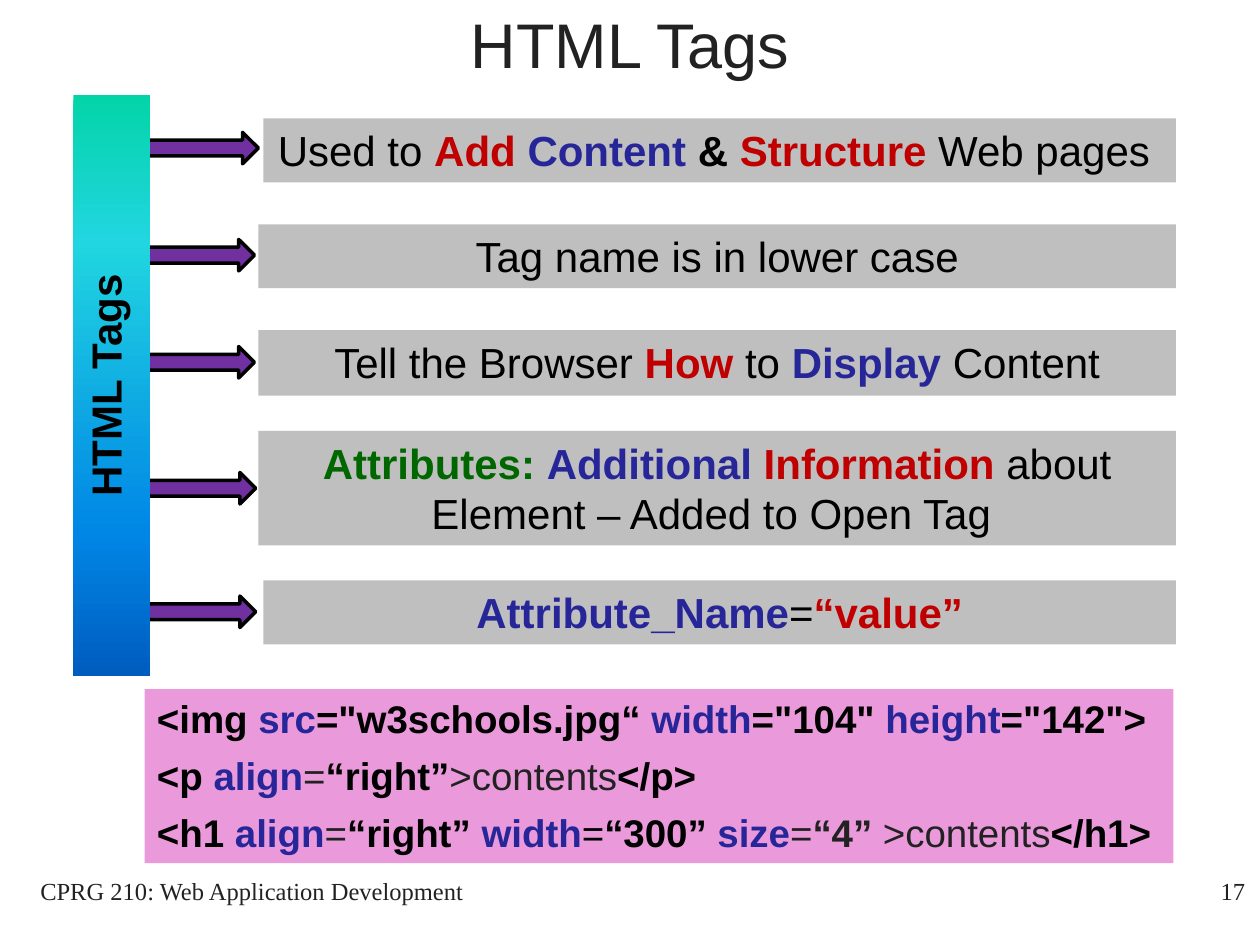
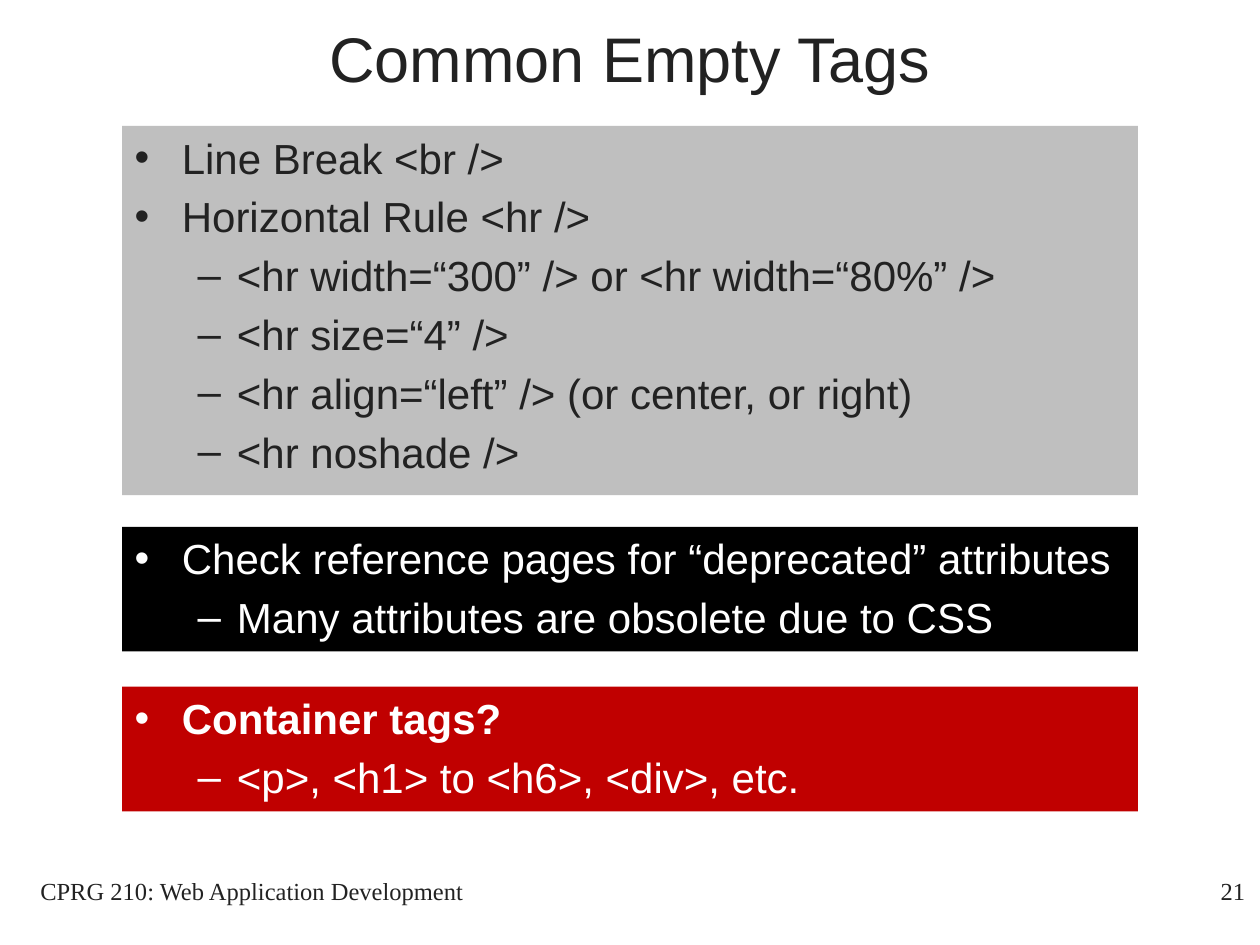
import pptx
import pptx.dml.color
import pptx.enum.shapes
import pptx.enum.text
import pptx.oxml.ns
import pptx.util
from lxml import etree

Pt = pptx.util.Pt
hue = pptx.dml.color.RGBColor.from_string
qn = pptx.oxml.ns.qn
Kind = pptx.enum.shapes.MSO_SHAPE
Align = pptx.enum.text.PP_ALIGN
Anchor = pptx.enum.text.MSO_ANCHOR

INK, BLACK, WHITE = "222222", "000000", "FFFFFF"
RED, BLUE, GREEN = "C00000", "262699", "006600"
GREY, PINK, PURPLE = "BFBFBF", "EA9ADB", "7030A0"

TITLE = {"name": "Arial", "size": Pt(36), "bold": False}
BODY = {"name": "Arial", "size": Pt(24)}
CODE = {"name": "Arial", "size": Pt(22)}
FOOT = {"name": "Times New Roman", "size": Pt(14)}


def block(slide, kind, place, fill):
    shape = slide.shapes.add_shape(kind, *[Pt(v) for v in place])
    shape.shadow.inherit = False
    shape.fill.solid()
    shape.fill.fore_color.rgb = hue(fill)
    shape.line.fill.background()
    return shape


def write(shape, rows, look, align, anchor=Anchor.TOP, after=0, before=0, marks=None):
    frame = shape.text_frame
    frame.word_wrap = True
    frame.auto_size = pptx.enum.text.MSO_AUTO_SIZE.NONE
    frame.vertical_anchor = anchor
    for i, runs in enumerate(rows):
        para = frame.paragraphs[0] if i == 0 else frame.add_paragraph()
        para.alignment = align
        para.space_before = Pt(before if i else 0)
        para.space_after = Pt(after)
        if marks:
            para.level = marks[i]
            sign, left, hang = [("•", 27, 27), ("–", 58.5, 22.5)][marks[i]]
            props = para._p.get_or_add_pPr()
            props.set("marL", str(Pt(left)))
            props.set("indent", str(-Pt(hang)))
            etree.SubElement(props, qn("a:buFont"), typeface="Arial")
            etree.SubElement(props, qn("a:buChar"), char=sign)
        for text, color, bold in runs:
            run = para.add_run()
            run.text = text
            for key, value in {**look, "bold": bold}.items():
                setattr(run.font, key, value)
            run.font.color.rgb = hue(color)


deck = pptx.Presentation()
deck.slide_width, deck.slide_height = Pt(720), Pt(540)

pages = []
for name, number, top in [("HTML Tags", "17", -20.16), ("Common Empty Tags", "21", -12.24)]:
    page = deck.slides.add_slide(deck.slide_layouts[5])
    title = page.shapes.title
    spots = {"left": 0, "top": top, "width": 720, "height": 90}
    for key, value in spots.items():
        setattr(title, key, Pt(value))
    write(title, [[(name, INK, False)]], TITLE, Align.CENTER, Anchor.MIDDLE)
    for text, left, width, align in [
        ("CPRG 210: Web Application Development", 0, 288, Align.CENTER),
        (number, 568.8, 149.8, Align.RIGHT),
    ]:
        note = page.shapes.add_textbox(Pt(left), Pt(496.8), Pt(width), Pt(36))
        write(note, [[(text, INK, False)]], FOOT, align)
    pages.append(page)
tags, empty = pages

facts = [
    (81.4, 75.6, 150.5, 67.7, 36.5, [
        ("Used to ", BLACK, False), ("Add ", RED, True), ("Content ", BLUE, True),
        ("& ", BLACK, True), ("Structure ", RED, True), ("Web pages ", BLACK, False)]),
    (79.2, 136.8, 147.6, 128.2, 36.5, [("Tag name is in lower case", BLACK, False)]),
    (79.2, 198, 147.6, 188.6, 37.5, [
        ("Tell the Browser ", BLACK, False), ("How", RED, True), (" to ", BLACK, False),
        ("Display", BLUE, True), (" Content", BLACK, False)]),
    (79.9, 270, 147.6, 246.2, 65.5, [
        ("Attributes: ", GREEN, True), ("Additional ", BLUE, True),
        ("Information", RED, True),
        (" about Element – Added to Open Tag ", BLACK, False)]),
    (79.9, 340.6, 150.5, 331.7, 36.5, [
        ("Attribute_Name", BLUE, True), ("=", BLACK, False), ("“value”", RED, True)]),
]
for tail, mid, left, top, height, runs in facts:
    arrow = block(tags, Kind.RIGHT_ARROW, (tail, mid, 66.2, 18), PURPLE)
    arrow.line.color.rgb = hue(BLACK)
    arrow.line.width = Pt(2)
    fact = block(tags, Kind.RECTANGLE, (left, top, 672 - left, height), GREY)
    write(fact, [runs], BODY, Align.CENTER)

spine = block(tags, Kind.RECTANGLE, (42, 54, 44, 332.6), BLUE)
spine.fill.gradient()
spine.fill.gradient_angle = 270
stops = spine._element.spPr.find(qn("a:gradFill")).find(qn("a:gsLst"))
for stop in list(stops):
    stops.remove(stop)
for point, color in [(0, "03D4A8"), (25, "21D6E0"), (75, "0087E6"), (100, "005CBF")]:
    stop = etree.SubElement(stops, qn("a:gs"), pos=str(point * 1000))
    etree.SubElement(stop, qn("a:srgbClr"), val=color)
write(spine, [[("HTML Tags", BLACK, True)]], BODY, Align.CENTER)
spine.text_frame._txBody.bodyPr.set("vert", "vert270")

code = block(tags, Kind.RECTANGLE, (82.6, 393.8, 588, 99.4), PINK)
write(code, [
    [("<img ", BLACK, True), ("src", BLUE, True), ("=\"w3schools.jpg“ ", BLACK, True),
     ("width", BLUE, True), ("=\"104\" ", BLACK, True), ("height", BLUE, True),
     ("=\"142\">", BLACK, True)],
    [("<p ", BLACK, True), ("align", BLUE, True), ("=", INK, False),
     ("“right”", BLACK, True), (">contents", INK, False), ("</p>", BLACK, True)],
    [("<h1 ", BLACK, True), ("align", BLUE, True), ("=", INK, False),
     ("“right” ", BLACK, True), ("width", BLUE, True), ("=", BLACK, False),
     ("“300” ", BLACK, True), ("size", BLUE, True), ("=", INK, False),
     ("“4”", INK, True), (" >contents", INK, False), ("</h1>", BLACK, True)],
], CODE, Align.LEFT, after=6)

panels = [
    (72, 211, GREY, INK, [
        (0, "Line Break <br />", False),
        (0, "Horizontal Rule <hr />", False),
        (1, "<hr width=“300” /> or <hr width=“80%” />", False),
        (1, "<hr size=“4” />", False),
        (1, "<hr align=“left” /> (or center, or right)", False),
        (1, "<hr noshade />", False)]),
    (301, 71.3, BLACK, WHITE, [
        (0, "Check reference pages for “deprecated” attributes", False),
        (1, "Many attributes are obsolete due to CSS", False)]),
    (392.4, 71.3, RED, WHITE, [
        (0, "Container tags?", True),
        (1, "<p>, <h1> to <h6>, <div>, etc.", False)]),
]
for top, height, fill, color, items in panels:
    panel = block(empty, Kind.RECTANGLE, (69.8, top, 580.4, height), fill)
    rows = [[(text, color, bold)] for level, text, bold in items]
    write(panel, rows, BODY, Align.LEFT, before=4.8, marks=[item[0] for item in items])

deck.save("out.pptx")
